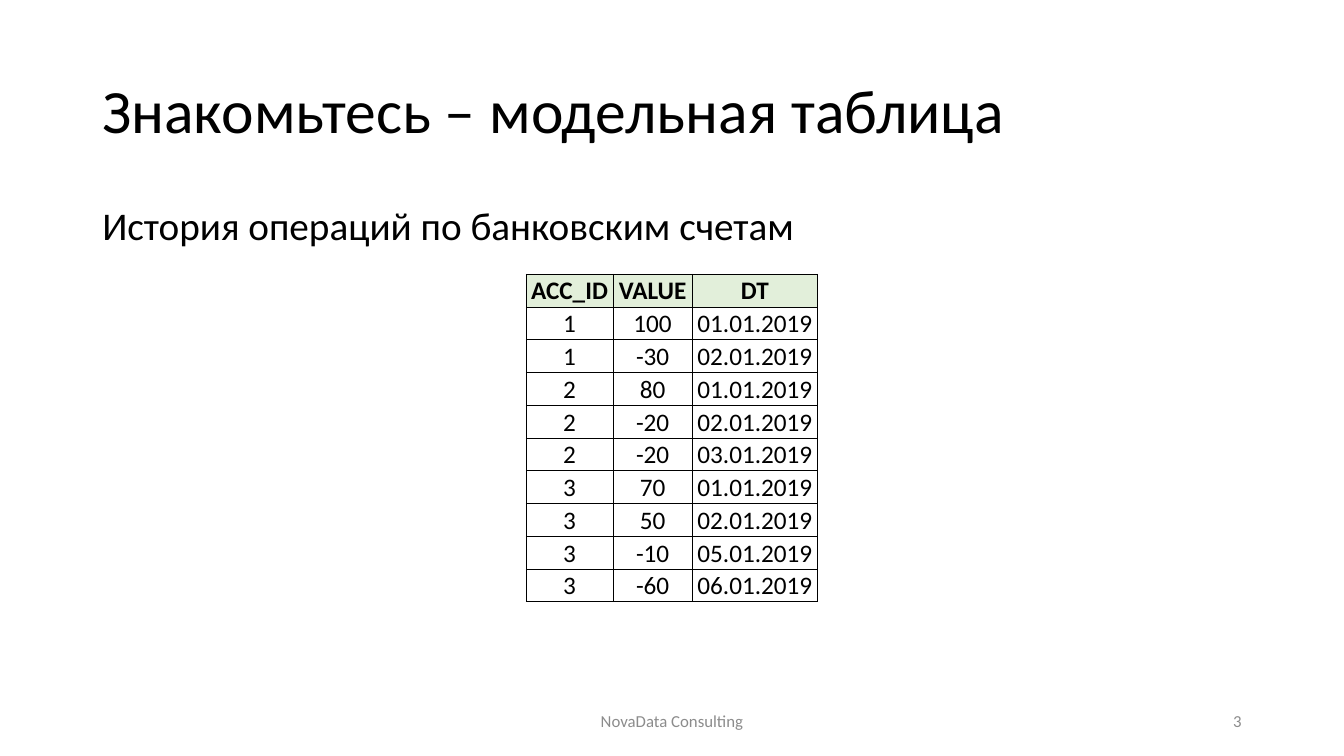
from lxml import etree
from pptx import Presentation
from pptx import util as u
from pptx.dml import color
from pptx.enum import text
from pptx.oxml import ns

COLOURS = {"ink": "000000", "muted": "8C8C8C", "header": "E2EFDA"}
FONT = "Calibri"
COLUMNS, ROWS = 160, 90  # square grid over the slide
ALIGN, ANCHOR = text.PP_ALIGN, text.MSO_ANCHOR

HEADERS = ("ACC_ID", "VALUE", "DT")
OPERATIONS = (
    (1, 100, "01.01.2019"),
    (1, -30, "02.01.2019"),
    (2, 80, "01.01.2019"),
    (2, -20, "02.01.2019"),
    (2, -20, "03.01.2019"),
    (3, 70, "01.01.2019"),
    (3, 50, "02.01.2019"),
    (3, -10, "05.01.2019"),
    (3, -60, "06.01.2019"),
)
COLUMN_WIDTHS = (10.32, 9.48, 14.88)

deck = Presentation()
deck.slide_width, deck.slide_height = u.Inches(13.333), u.Inches(7.5)


def across(columns):
    return round(deck.slide_width * columns / COLUMNS)


def down(rows):
    return round(deck.slide_height * rows / ROWS)


def set_all(target, values):
    for name, value in values.items():
        setattr(target, name, value)


def write(frame, words, size, colour="ink", bold=False, **para_format):
    para = frame.paragraphs[0]
    set_all(para, para_format)
    span = para.add_run()
    span.text = str(words)
    set_all(span.font, {"name": FONT, "size": u.Pt(size), "bold": bold})
    span.font.color.rgb = color.RGBColor.from_string(COLOURS[colour])


def add_text(page, box, words, size, anchor=ANCHOR.MIDDLE, **style):
    left, top, width, height = box
    frame = page.shapes.add_textbox(
        across(left), down(top), across(width), down(height)).text_frame
    set_all(frame, {"word_wrap": True, "vertical_anchor": anchor})
    write(frame, words, size, **style)


def add_borders(cell):
    properties = cell._tc.get_or_add_tcPr()
    for position, side in enumerate(("lnL", "lnR", "lnT", "lnB")):
        line = etree.Element(ns.qn(f"a:{side}"), w=str(u.Pt(0.5)))
        fill = etree.SubElement(line, ns.qn("a:solidFill"))
        etree.SubElement(fill, ns.qn("a:srgbClr"), val=COLOURS["ink"])
        properties.insert(position, line)


def add_heading(page, box):
    left, top, width, height = box
    add_text(page, (left, top, width, 17.4), "Знакомьтесь – модельная таблица",
             44, line_spacing=0.9)
    add_text(page, (left, top + height - 7, width, 7),
             "История операций по банковским счетам", 28, ANCHOR.TOP,
             line_spacing=0.9, space_before=u.Pt(10))


def add_operations(page, box):
    left, top, width, height = box
    records = (HEADERS, *OPERATIONS)
    table = page.shapes.add_table(
        len(records), len(HEADERS),
        across(left), down(top), across(width), down(height)).table
    for column, share in zip(table.columns, COLUMN_WIDTHS):
        column.width = across(width * share / sum(COLUMN_WIDTHS))
    margin = u.Inches(0.01)
    for index, record in enumerate(records):
        header = index == 0
        table.rows[index].height = down(height / len(records))
        for cell, value in zip(table.rows[index].cells, record):
            set_all(cell, {
                "margin_left": margin, "margin_right": margin,
                "margin_top": margin, "margin_bottom": 0,
                "vertical_anchor": ANCHOR.MIDDLE if header else ANCHOR.BOTTOM,
            })
            if header:
                cell.fill.solid()
                cell.fill.fore_color.rgb = color.RGBColor.from_string(COLOURS["header"])
            else:
                cell.fill.background()
            add_borders(cell)
            write(cell.text_frame, value, 18, bold=header, alignment=ALIGN.CENTER)


def add_footer(page, box):
    left, top, width, height = box
    add_text(page, (left + (width - 54) / 2, top, 54, height),
             "NovaData Consulting", 12, colour="muted", alignment=ALIGN.CENTER)
    add_text(page, (left + width - 36, top, 36, height),
             "3", 12, colour="muted", alignment=ALIGN.RIGHT)


# Slide: each region gets its box in grid columns and rows
page = deck.slides.add_slide(deck.slide_layouts[6])
add_heading(page, (11, 4.8, 138, 26.2))
add_operations(page, (62.64, 32.64, 34.68, 39))
add_footer(page, (11, 83.4, 138, 4.8))
deck.save("out.pptx")
